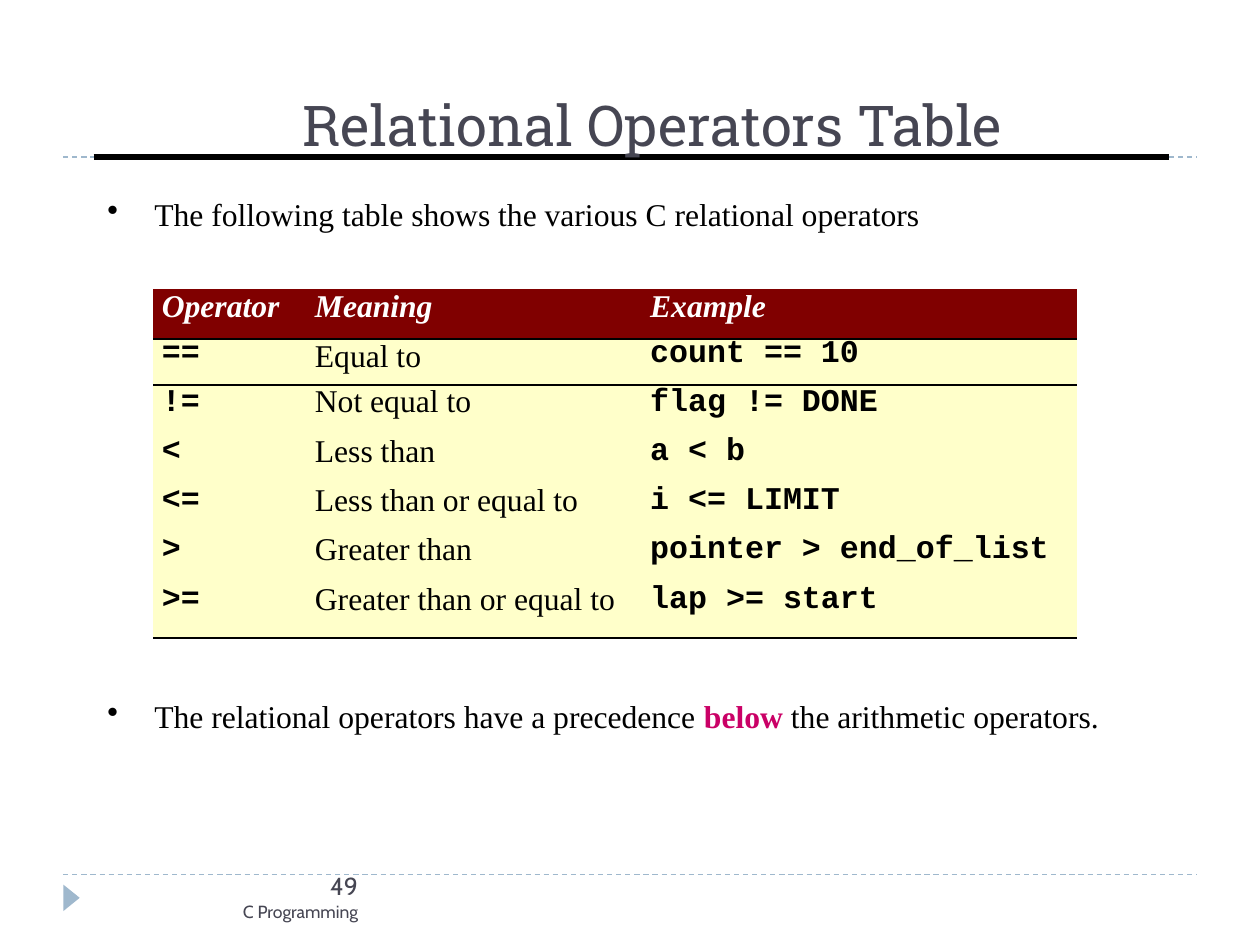
from dataclasses import dataclass

from lxml import etree
from pptx import Presentation
from pptx.dml.color import RGBColor
from pptx.enum.dml import MSO_LINE_DASH_STYLE
from pptx.enum.shapes import MSO_CONNECTOR_TYPE, MSO_SHAPE
from pptx.enum.text import MSO_ANCHOR, PP_ALIGN
from pptx.oxml.ns import qn
from pptx.util import Emu, Pt

DASH = MSO_LINE_DASH_STYLE.DASH
STRAIGHT = MSO_CONNECTOR_TYPE.STRAIGHT
TRIANGLE = MSO_SHAPE.ISOSCELES_TRIANGLE
TOP, BOTTOM = MSO_ANCHOR.TOP, MSO_ANCHOR.BOTTOM
LEFT, RIGHT = PP_ALIGN.LEFT, PP_ALIGN.RIGHT

BLACK = RGBColor(0x00, 0x00, 0x00)
WHITE = RGBColor(0xFF, 0xFF, 0xFF)
SLATE = RGBColor(0x46, 0x46, 0x53)
PALE_BLUE = RGBColor(0x9F, 0xB8, 0xCD)
MAROON = RGBColor(0x80, 0x00, 0x00)
CREAM = RGBColor(0xFF, 0xFF, 0xCA)
MAGENTA = RGBColor(0xCA, 0x00, 0x66)

SERIF, MONO = "Times New Roman", "Courier New"
EMU_PER_PX = 9144


def px(length: int) -> Emu:
    return Emu(length * EMU_PER_PX)


@dataclass(frozen=True)
class Style:
    font: str
    size: int
    color: RGBColor
    bold: bool = False
    italic: bool = False


@dataclass(frozen=True)
class Rule:
    left: int
    right: int
    top: int
    color: RGBColor
    width: float
    dashed: bool = False


@dataclass(frozen=True)
class Bullet:
    top: int
    width: int
    runs: tuple[str, ...]
    emphasis: str = ""


TITLE = Style("Roboto Slab", 32, SLATE)
PAGE_NUMBER = Style("Cabin", 14, SLATE)
COURSE = Style("Cabin", 10, SLATE)
BODY = Style(SERIF, 18, BLACK)
HEADER = Style(SERIF, 18, WHITE, bold=True, italic=True)
CODE = Style(MONO, 18, BLACK, bold=True)

RULES = (
    Rule(50, 946, 691, PALE_BLUE, 0.75, dashed=True),
    Rule(50, 946, 124, PALE_BLUE, 0.75, dashed=True),
    Rule(74, 924, 124, BLACK, 3),
)
BULLETS = (
    Bullet(154, 646, ("The following table shows the various C relational operators",)),
    Bullet(551, 800, ("The relational operators have a precedence ", "below",
                      " the arithmetic operators."), emphasis="below"),
)
OPERATORS = (
    ("Operator", "Meaning", "Example"),
    ("==", "Equal to", "count == 10"),
    ("!=", "Not equal to", "flag != DONE"),
    ("<", "Less than", "a < b"),
    ("<=", "Less than or equal to", "i <= LIMIT"),
    (">", "Greater than", "pointer > end_of_list"),
    (">=", "Greater than or equal to", "lap >= start"),
)
COLUMN_WIDTHS = (114, 265, 351)
CELL_INSETS = (7, 14, 14)
ROW_HEIGHTS = (40, 36, 39, 39, 39, 39, 44)
RULED_ROWS = (0, 1, 6)
HEADER_SPACING = (20.4, 20.4, 20.4)
FIRST_ROW_SPACING = (18.7, 20.1, 18.7)


def apply_style(font, style: Style) -> None:
    font.name = style.font
    font.size = Pt(style.size)
    font.bold = style.bold
    font.italic = style.italic
    font.color.rgb = style.color


def add_rule(slide, rule: Rule) -> None:
    connector = slide.shapes.add_connector(
        STRAIGHT, px(rule.left), px(rule.top), px(rule.right), px(rule.top))
    connector.line.color.rgb = rule.color
    connector.line.width = Pt(rule.width)
    if rule.dashed:
        connector.line.dash_style = DASH
    etree.SubElement(connector._element.spPr, qn("a:effectLst"))


def add_text_frame(slide, left: int, top: int, width: int, height: int, anchor=TOP):
    frame = slide.shapes.add_textbox(px(left), px(top), px(width), px(height)).text_frame
    frame.word_wrap = True
    frame.vertical_anchor = anchor
    frame.margin_left = frame.margin_right = frame.margin_top = frame.margin_bottom = 0
    return frame


def write_paragraph(paragraph, text: str, style: Style, align=LEFT) -> None:
    paragraph.text = text
    paragraph.alignment = align
    apply_style(paragraph.font, style)


def add_bullet(slide, bullet: Bullet) -> None:
    paragraph = add_text_frame(slide, 83, bullet.top, bullet.width, 31).paragraphs[0]
    properties = paragraph._p.get_or_add_pPr()
    properties.set("marL", str(px(39)))
    properties.set("indent", str(px(-37)))
    etree.SubElement(properties, qn("a:buChar"), char="•")
    apply_style(paragraph.font, BODY)
    for text in bullet.runs:
        run = paragraph.add_run()
        run.text = text
        if text == bullet.emphasis:
            run.font.bold = True
            run.font.color.rgb = MAGENTA


def set_borders(cell, above: bool, below: bool) -> None:
    properties = cell._tc.get_or_add_tcPr()
    for side, visible in (("L", False), ("R", False), ("T", above), ("B", below)):
        line = etree.SubElement(properties, qn(f"a:ln{side}"), w=str(Pt(1.44)))
        if visible:
            fill = etree.SubElement(line, qn("a:solidFill"))
            etree.SubElement(fill, qn("a:srgbClr"), val=str(BLACK))
        else:
            etree.SubElement(line, qn("a:noFill"))


def add_operator_table(slide) -> None:
    table = slide.shapes.add_table(
        len(OPERATORS), len(COLUMN_WIDTHS), px(121), px(228),
        px(sum(COLUMN_WIDTHS)), px(sum(ROW_HEIGHTS))).table
    table.first_row = table.horz_banding = False
    for column, width in zip(table.columns, COLUMN_WIDTHS):
        column.width = px(width)
    for row, height in zip(table.rows, ROW_HEIGHTS):
        row.height = px(height)
    spacings = {0: HEADER_SPACING, 1: FIRST_ROW_SPACING}
    for row_index, texts in enumerate(OPERATORS):
        for column_index, text in enumerate(texts):
            cell = table.cell(row_index, column_index)
            cell.margin_left = px(CELL_INSETS[column_index])
            cell.margin_right = cell.margin_top = cell.margin_bottom = 0
            set_borders(cell, row_index - 1 in RULED_ROWS, row_index in RULED_ROWS)
            cell.fill.solid()
            cell.fill.fore_color.rgb = CREAM if row_index else MAROON
            body_style = BODY if column_index == 1 else CODE
            paragraph = cell.text_frame.paragraphs[0]
            write_paragraph(paragraph, text, body_style if row_index else HEADER)
            if row_index in spacings:
                paragraph.line_spacing = Pt(spacings[row_index][column_index])


def add_footer(slide) -> None:
    marker = slide.shapes.add_shape(TRIANGLE, px(46), px(703), px(21), px(13))
    marker.rotation = 90
    marker.shadow.inherit = False
    marker.fill.solid()
    marker.fill.fore_color.rgb = PALE_BLUE
    marker.line.fill.background()
    frame = add_text_frame(slide, 67, 691, 216, 40)
    write_paragraph(frame.paragraphs[0], "49", PAGE_NUMBER, RIGHT)
    frame.paragraphs[0].line_spacing = Pt(15.1)
    write_paragraph(frame.add_paragraph(), "C Programming", COURSE, RIGHT)


def main() -> None:
    presentation = Presentation()
    presentation.slide_width, presentation.slide_height = px(996), px(746)
    slide = presentation.slides.add_slide(presentation.slide_layouts[6])
    for rule in RULES:
        add_rule(slide, rule)
    title = add_text_frame(slide, 239, 17, 707, 108, BOTTOM)
    write_paragraph(title.paragraphs[0], "Relational Operators Table", TITLE)
    add_footer(slide)
    for bullet in BULLETS:
        add_bullet(slide, bullet)
    add_operator_table(slide)
    presentation.save("out.pptx")


if __name__ == "__main__":
    main()
